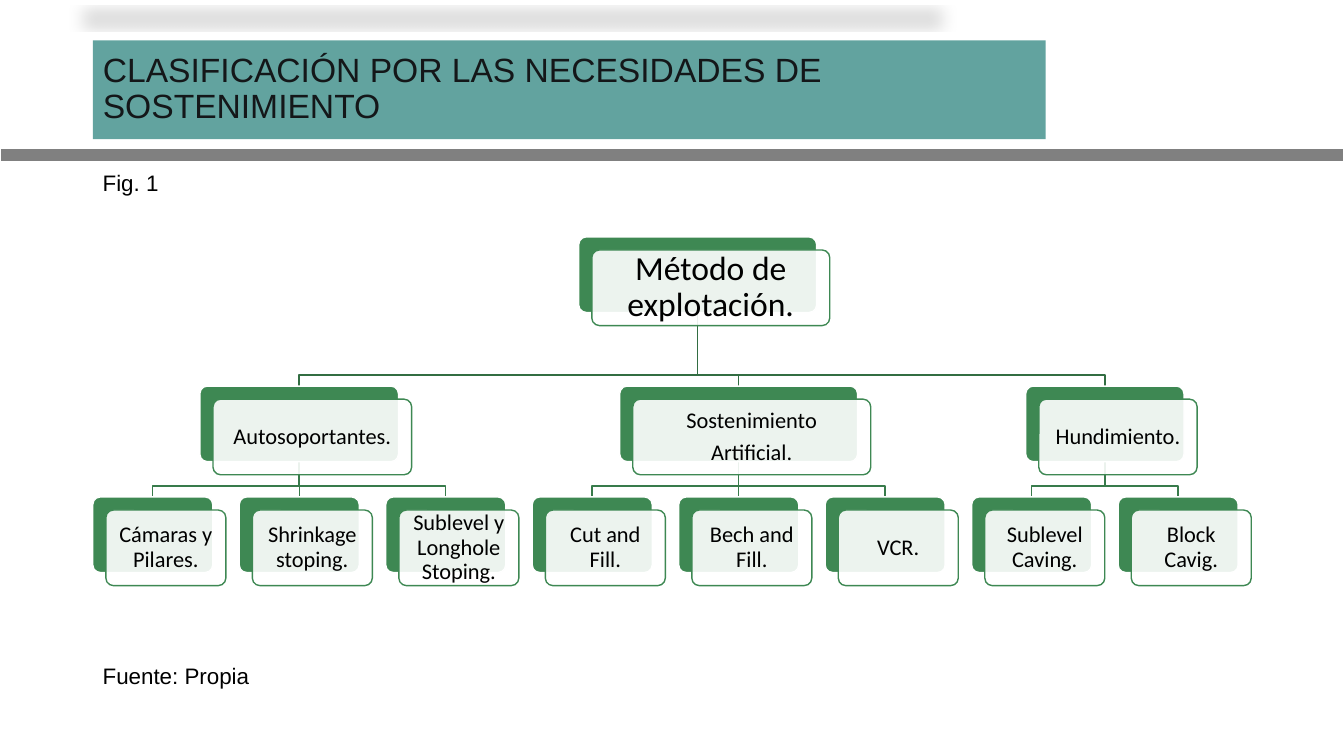
from lxml import etree
from pptx import Presentation
from pptx import util as u
from pptx.dml.color import RGBColor
from pptx.enum import shapes, text
from pptx.oxml import ns

HUES = {"teal": "62A39F", "ink": "141719", "gray": "808080", "green": "3E8853",
        "stem": "326D42", "twig": "387B4B", "white": "FFFFFF", "black": "000000"}
ROOT = ("Método de explotación.", 2.36)
GROUPS = [
    ("Autosoportantes.", 1.97,
     ["Cámaras y Pilares.", "Shrinkage stoping.", "Sublevel y Longhole Stoping."]),
    ("Sostenimiento\nArtificial.", 2.36, ["Cut and Fill.", "Bech and Fill.", "VCR."]),
    ("Hundimiento.", 1.57, ["Sublevel Caving.", "Block Cavig."]),
]
LEAF, HIGH, SHIFT = 1.19, 0.75, 0.13
MID = text.MSO_ANCHOR.MIDDLE
LEFT, CENTER = text.PP_ALIGN.LEFT, text.PP_ALIGN.CENTER


def hue(name):
    """Return the named colour."""
    return RGBColor.from_string(HUES[name])


def inch(*vals):
    """Turn numbers into inch lengths."""
    return [u.Inches(v) for v in vals]


def add(node, tag, **attrs):
    """Append a drawing element with attributes."""
    return etree.SubElement(node, ns.qn(tag), {k: str(v) for k, v in attrs.items()})


def assign(item, form):
    """Set attributes from a dict of format values."""
    for key, val in form.items():
        setattr(item, key, val)


def write(shape, words, size, face, color, align, pad=(0.1, 0.05)):
    """Write formatted paragraphs into a shape."""
    frame = shape.text_frame
    side, top = inch(*pad)
    assign(frame, {"text": words, "word_wrap": True, "auto_size": text.MSO_AUTO_SIZE.NONE,
                   "vertical_anchor": MID, "margin_left": side, "margin_right": side,
                   "margin_top": top, "margin_bottom": top})
    for para in frame.paragraphs:
        assign(para, {"alignment": align, "line_spacing": 0.9})
        for run in para.runs:
            assign(run.font, {"size": u.Pt(size), "name": face, "bold": False})
            run.font.color.rgb = hue(color)
    for para in frame.paragraphs[:-1]:
        para.space_after = u.Pt(0.35 * size)


def stroke(item, color, width):
    """Give a shape or connector a plain line."""
    item.line.color.rgb = hue(color)
    item.line.width = u.Pt(width)


def wire(slide, *ends):
    """Add a straight connector without a shadow."""
    line = slide.shapes.add_connector(shapes.MSO_CONNECTOR.STRAIGHT, *inch(*ends))
    add(line._element.spPr, "a:effectLst")
    return line


def header(slide, x, y, w, h):
    """Place the title band, its cast shadow and the rule below."""
    title = slide.shapes.title
    assign(title, dict(zip(("left", "top", "width", "height"), inch(x, y, w, h))))
    title.fill.solid()
    title.fill.fore_color.rgb = hue("teal")
    write(title, "CLASIFICACIÓN POR LAS NECESIDADES DE SOSTENIMIENTO",
          24, "Arial", "ink", LEFT)
    cast = add(add(title._element.spPr, "a:effectLst"), "a:outerShdw",
               blurRad=u.Pt(12), dist=u.Pt(25), dir=5400000,
               sx=90000, sy=-19000, rotWithShape=0)
    add(add(cast, "a:srgbClr", val=HUES["black"]), "a:alpha", val=15000)
    rule = y + h + 0.16
    stroke(wire(slide, 0.01, rule, 13.32, rule), "gray", 8.25)


def note(slide, words, x, y, w, h):
    """Place a bulleted caption."""
    box = slide.shapes.add_textbox(*inch(x, y, w, h))
    props = box.text_frame.paragraphs[0]._p.get_or_add_pPr()
    props.set("marL", str(u.Inches(0.25)))
    props.set("indent", str(u.Inches(-0.25)))
    add(props, "a:buFont", typeface="Arial")
    add(props, "a:buChar", char="•")
    write(box, words, 16, "Arial", "black", LEFT)


def card(slide, words, mid, y, w, size=16, pad=(0.07, 0.07)):
    """Place a green card with a pale label card over it and return the green one."""
    pair = []
    for step, fill, edge in ((0, "green", "white"), (SHIFT, "white", "green")):
        item = slide.shapes.add_shape(shapes.MSO_SHAPE.ROUNDED_RECTANGLE,
                                      *inch(mid - w / 2 + step, y + step, w, HIGH))
        item.adjustments[0] = 0.1
        item.shadow.inherit = False
        item.fill.solid()
        item.fill.fore_color.rgb = hue(fill)
        stroke(item, edge, 1)
        pair.append(item)
    back, front = pair
    tint = front._element.spPr.find(ns.qn("a:solidFill"))[0]
    add(tint, "a:alpha", val=90000)
    write(front, words, size, "Calibri", "black", CENTER, pad)
    return back


def link(slide, top, low, color):
    """Join two cards from behind, bending just above the lower one."""
    start, end = top.left + top.width // 2, low.left + low.width // 2
    base, bend = top.top + top.height, low.top - u.Inches(0.11)
    if abs(start - end) < u.Inches(0.01):
        line = wire(slide, 0, 0, 1, 1)
        line.begin_connect(top, 2)
        line.end_connect(low, 0)
    else:
        path = slide.shapes.build_freeform(start, base)
        path.add_line_segments([(start, bend), (end, bend), (end, low.top)], close=False)
        line = path.convert_to_shape()
        line.fill.background()
        line.shadow.inherit = False
    stroke(line, color, 1)
    slide.shapes._spTree.insert(2, line._element)


def chart(slide, x, y, w):
    """Place the three-level tree of methods."""
    count = sum(len(kids) for _, _, kids in GROUPS)
    pitch = (w - LEAF) / (count - 1)
    root = card(slide, ROOT[0], x + 6, y, ROOT[1], 24, (0.1, 0))
    first = 0
    for words, wide, kids in GROUPS:
        mids = [x + LEAF / 2 + pitch * (first + i) for i in range(len(kids))]
        group = card(slide, words, sum(mids) / len(mids), y + 1.48, wide)
        link(slide, root, group, "stem")
        for kid, mid in zip(kids, mids):
            link(slide, group, card(slide, kid, mid, y + 2.58, LEAF), "twig")
        first += len(kids)


def main():
    """Build and save the slide."""
    deck = Presentation()
    deck.slide_width, deck.slide_height = inch(13.33, 7.5)
    slide = deck.slides.add_slide(deck.slide_layouts[5])
    header(slide, 0.92, 0.4, 9.45, 0.98)
    chart(slide, 0.92, 2.35, 11.36)
    note(slide, "Fig. 1", 0.92, 1.69, 1.57, 0.28)
    note(slide, "Fuente: Propia", 0.92, 6.58, 3.54, 0.28)
    deck.save("out.pptx")


if __name__ == "__main__":
    main()
